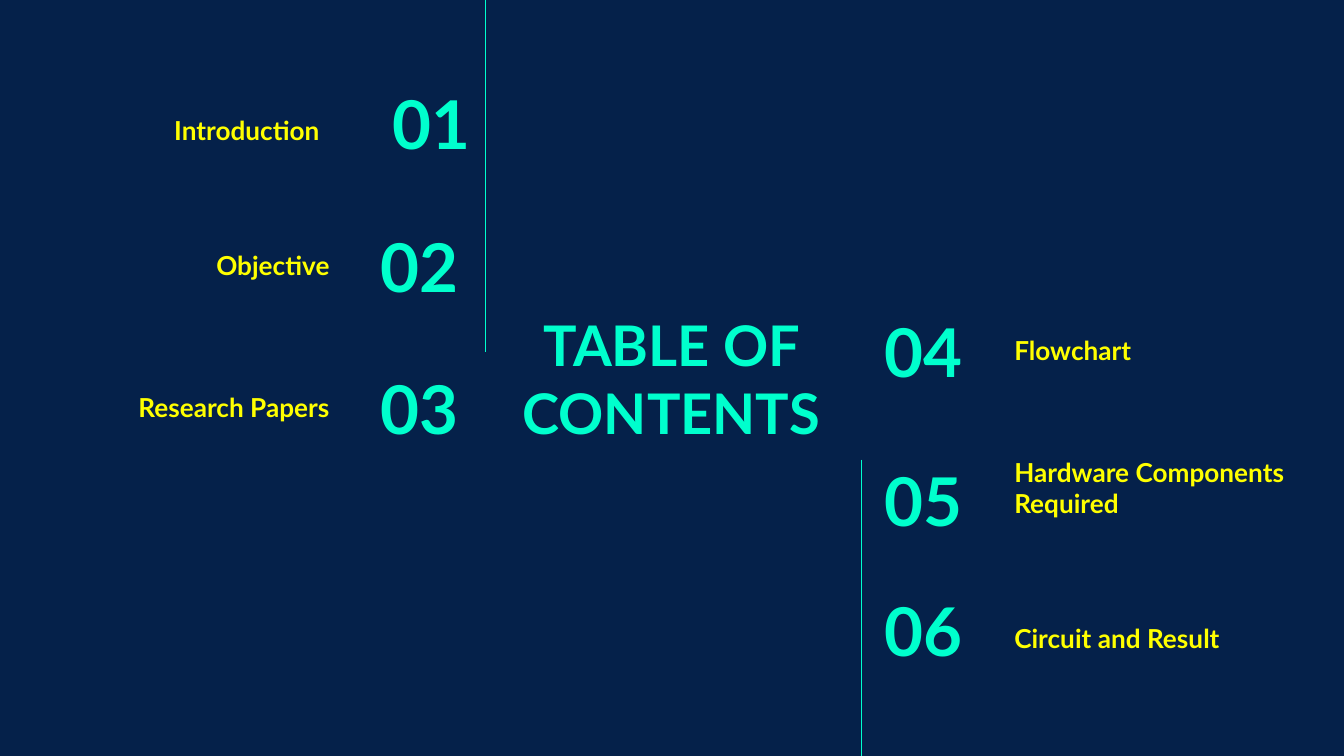
"""Build a dark table-of-contents slide with six numbered entries."""
from lxml.etree import SubElement
from pptx import Presentation
from pptx.dml.color import RGBColor
from pptx.enum.shapes import MSO_CONNECTOR
from pptx.enum.text import MSO_ANCHOR, PP_ALIGN
from pptx.oxml.ns import qn
from pptx.util import Cm, Pt

COLORS = {"navy": "05214A", "mint": "00FFCD", "yellow": "FFFF00"}
FONT = "Lato"
WIDTH, HEIGHT = 25.4, 14.29
ROW = 1.6
TITLE = "TABLE OF CONTENTS"

# number, number left and top, label, label left, top and width
LEFT = [
    ("01", 6.07, 1.52, "Introduction", 0.8, 1.4, 5.49),
    ("02", 5.84, 4.22, "Objective", 0.99, 3.96, 5.49),
    ("03", 5.84, 6.91, "Research Papers", 0.99, 6.65, 5.49),
]
RIGHT = [
    ("04", 16.46, 5.82, "Flowchart", 18.92, 5.56, 5.49),
    ("05", 16.46, 8.64, "Hardware Components Required", 18.92, 8.46, 6.05),
    ("06", 16.46, 11.1, "Circuit and Result", 18.92, 11, 5.49),
]
SIDES = [(LEFT, PP_ALIGN.RIGHT, 3.07), (RIGHT, PP_ALIGN.LEFT, 2.97)]
RULES = [(9.17, 0, 6.65), (16.28, 8.69, HEIGHT)]


def color(name):
    return RGBColor.from_string(COLORS[name])


def add_text(slide, text, place, size, hue, align, anchor=MSO_ANCHOR.MIDDLE):
    frame = slide.shapes.add_textbox(*map(Cm, place)).text_frame
    frame.word_wrap = True
    frame.vertical_anchor = anchor
    frame.margin_left = frame.margin_right = Cm(0.25)
    frame.margin_top = frame.margin_bottom = Cm(0.25)
    para = frame.paragraphs[0]
    para.alignment = align
    run = para.add_run()
    run.text = text
    run.font.name = FONT
    run.font.size = Pt(size)
    run.font.bold = True
    run.font.color.rgb = color(hue)


def add_rule(slide, x, top, end):
    rule = slide.shapes.add_connector(
        MSO_CONNECTOR.STRAIGHT, Cm(x), Cm(top), Cm(x), Cm(end))
    rule.line.color.rgb = color("mint")
    rule.line.width = Pt(0.75)
    SubElement(rule._element.spPr, qn("a:effectLst"))


def main():
    deck = Presentation()
    deck.slide_width, deck.slide_height = Cm(WIDTH), Cm(HEIGHT)
    slide = deck.slides.add_slide(deck.slide_layouts[6])
    slide.background.fill.solid()
    slide.background.fill.fore_color.rgb = color("navy")

    add_text(slide, TITLE, (9.4, 5.84, 6.58, 2.62), 30, "mint", PP_ALIGN.CENTER)
    for rule in RULES:
        add_rule(slide, *rule)
    for items, align, span in SIDES:
        for number, x, y, label, left, top, width in items:
            add_text(slide, number, (x, y, span, ROW), 36, "mint", align)
            add_text(slide, label, (left, top, width, ROW), 14, "yellow",
                     align, MSO_ANCHOR.BOTTOM)
    deck.save("out.pptx")


if __name__ == "__main__":
    main()
